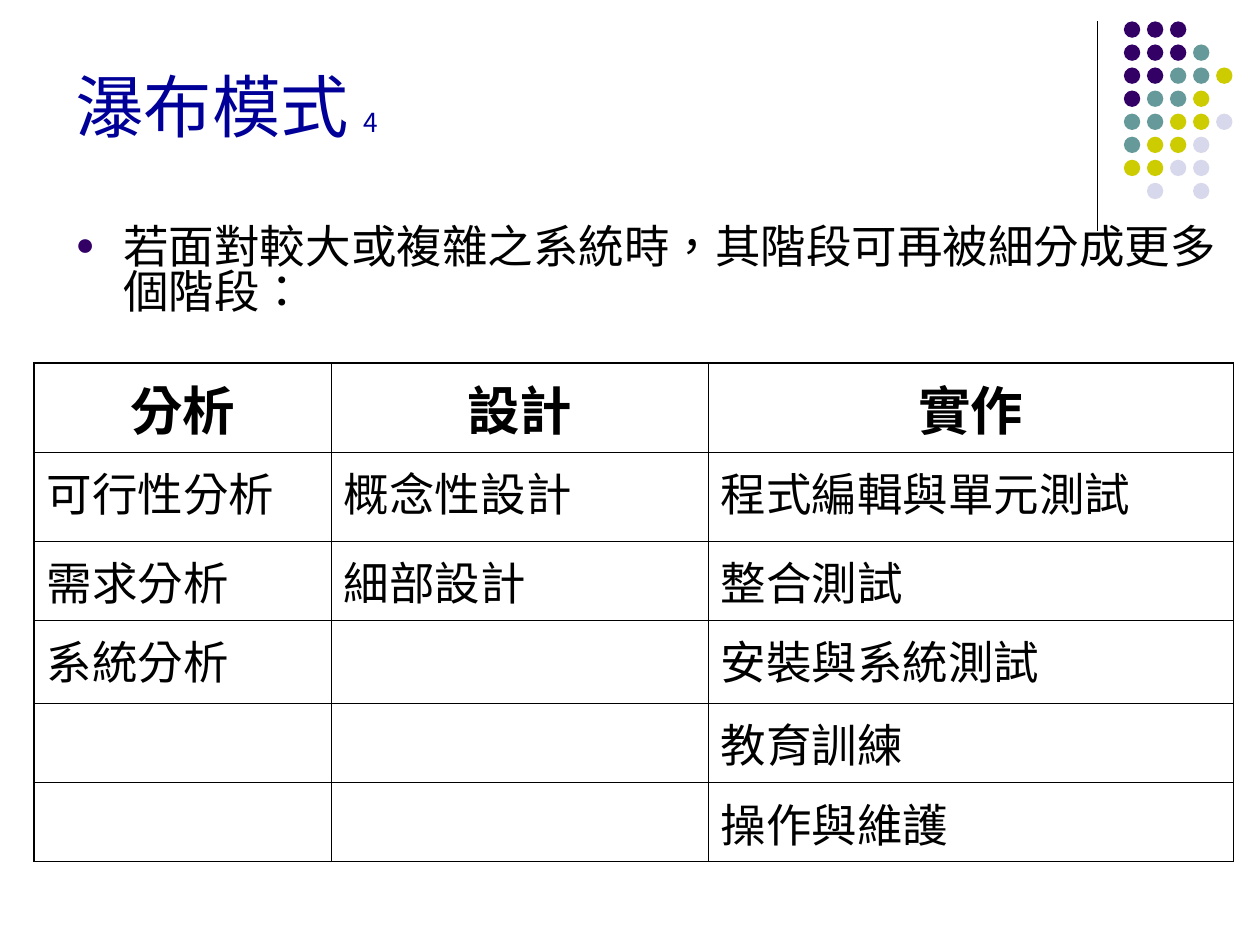
import dataclasses
import pptx
import pptx.dml.color
import pptx.enum.dml
import pptx.enum.lang
import pptx.enum.shapes
import pptx.enum.text
import pptx.oxml
import pptx.oxml.ns
import pptx.util

Inches = pptx.util.Inches
Pt = pptx.util.Pt
RGBColor = pptx.dml.color.RGBColor
Align = pptx.enum.text.PP_ALIGN
Anchor = pptx.enum.text.MSO_ANCHOR

BLACK = RGBColor(0x00, 0x00, 0x00)
NAVY = RGBColor(0x00, 0x00, 0x99)
PURPLE = RGBColor(0x33, 0x00, 0x66)
TEAL = RGBColor(0x66, 0x99, 0x99)
LIME = RGBColor(0xCC, 0xCC, 0x00)
PALE = RGBColor(0xD8, 0xD8, 0xEC)

LATIN = "Arial"
HAN = "Noto Sans CJK SC"
THIN, THICK = 0.45, 1.08

# One string per row of dots; a blank leaves a gap
DOTS = ["PPP", "PPPT", "PPTTL", "PTTL", "TTLLA", "TLLA", "LLAA", " A A"]
HUES = {"P": PURPLE, "T": TEAL, "L": LIME, "A": PALE}

COLS = [2.36, 2.99, 4.17]
ROWS = [0.71, 0.71, 0.62, 0.66, 0.63, 0.62]
CELLS = [
    ["分析", "設計", "實作"],
    ["可行性分析", "概念性設計", "程式編輯與單元測試"],
    ["需求分析", "細部設計", "整合測試"],
    ["系統分析", "", "安裝與系統測試"],
    ["", "", "教育訓練"],
    ["", "", "操作與維護"],
]


@dataclasses.dataclass
class Style:
    size: float
    color: RGBColor = BLACK
    bold: bool = False
    face: str = LATIN


HEAD = Style(30, bold=True)
TEXT = Style(26)


def make(xml: str):
    """Parse a fragment whose root is in the drawing namespace."""
    space = pptx.oxml.ns.nsdecls("a")
    return pptx.oxml.parse_xml(xml.replace(" ", f" {space} ", 1))


def paint(run, style: Style) -> None:
    font = run.font
    font.size = Pt(style.size)
    font.bold = style.bold
    font.name = style.face
    font.color.rgb = style.color
    font.language_id = pptx.enum.lang.MSO_LANGUAGE_ID.TRADITIONAL_CHINESE
    if style.face == HAN:
        run.font._element.append(make(f'<a:ea typeface="{HAN}"/>'))


def place(shape, left: float, top: float, width: float, height: float) -> None:
    shape.left, shape.top = Inches(left), Inches(top)
    shape.width, shape.height = Inches(width), Inches(height)
    shape.text_frame.word_wrap = True
    shape.text_frame.auto_size = pptx.enum.text.MSO_AUTO_SIZE.NONE


def draw_dots(slide) -> None:
    group = slide.shapes.add_group_shape()
    pitch, size = 0.183, Inches(0.13)
    for row, line in enumerate(DOTS):
        for col, key in enumerate(line):
            if key == " ":
                continue
            dot = group.shapes.add_shape(
                pptx.enum.shapes.MSO_SHAPE.OVAL,
                Inches(8.92 + col * pitch), Inches(0.17 + row * pitch), size, size)
            dot.shadow.inherit = False
            dot.fill.solid()
            dot.fill.fore_color.rgb = HUES[key]
            dot.line.fill.background()


def draw_rule(slide) -> None:
    rule = slide.shapes.add_connector(
        pptx.enum.shapes.MSO_CONNECTOR.STRAIGHT,
        Inches(8.71), Inches(0.17), Inches(8.71), Inches(1.83))
    rule.line.color.rgb = BLACK
    rule.line.width = Pt(0.75)
    rule._element.spPr.append(make("<a:effectLst />"))


def set_title(slide) -> None:
    title = slide.shapes.title
    place(title, 0.5, 0.13, 8.12, 1.41)
    title.text_frame.vertical_anchor = Anchor.MIDDLE
    para = title.text_frame.paragraphs[0]
    para.alignment = Align.LEFT
    for text, size in (("瀑布模式 ", 39), ("4", 15)):
        run = para.add_run()
        run.text = text
        paint(run, Style(size, NAVY, face=HAN))


def set_body(slide) -> None:
    body = slide.placeholders[1]
    place(body, 0.5, 1.75, 9.3, 4.95)
    para = body.text_frame.paragraphs[0]
    para.text = "若面對較大或複雜之系統時，其階段可再被細分成更多個階段："
    para.space_before = Pt(6.5)
    para.line_spacing = 0.83
    paint(para.runs[0], TEXT)
    # Bullet and hanging indent
    props = para._p.get_or_add_pPr()
    props.set("marL", str(Inches(0.38)))
    props.set("indent", str(-Inches(0.38)))
    for xml in (f'<a:buClr ><a:srgbClr val="{PURPLE}"/></a:buClr>',
                '<a:buSzPct val="70000"/>',
                f'<a:buFont typeface="{LATIN}"/>',
                '<a:buChar char="●"/>'):
        props.append(make(xml))


def set_edges(cell, row: int, col: int) -> None:
    """Thick lines round the table, thin lines inside."""
    outer = {"L": col == 0, "R": col == len(COLS) - 1,
             "T": row == 0, "B": row == len(ROWS) - 1}
    props = cell._tc.get_or_add_tcPr()
    for spot, (side, thick) in enumerate(outer.items()):
        width = Pt(THICK if thick else THIN)
        props.insert(spot, make(
            f'<a:ln{side} w="{width}"><a:solidFill><a:srgbClr val="{BLACK}"/>'
            f"</a:solidFill></a:ln{side}>"))


def draw_table(slide) -> None:
    frame = slide.shapes.add_table(
        len(ROWS), len(COLS), Inches(0.27), Inches(2.88),
        Inches(sum(COLS)), Inches(sum(ROWS)))
    table = frame.table
    table.first_row = table.horz_banding = False
    for col, width in enumerate(COLS):
        table.columns[col].width = Inches(width)
    for row, height in enumerate(ROWS):
        table.rows[row].height = Inches(height)
        style = TEXT if row else HEAD
        for col, text in enumerate(CELLS[row]):
            cell = table.cell(row, col)
            cell.fill.background()
            set_edges(cell, row, col)
            if not text:
                continue
            para = cell.text_frame.paragraphs[0]
            para.text = text
            para.alignment = Align.LEFT if row else Align.CENTER
            para.space_before = Pt(style.size / 4)
            paint(para.runs[0], style)


def main() -> None:
    deck = pptx.Presentation()
    deck.slide_width, deck.slide_height = Inches(10), Inches(7.5)
    slide = deck.slides.add_slide(deck.slide_layouts[1])
    draw_rule(slide)
    draw_dots(slide)
    set_title(slide)
    set_body(slide)
    draw_table(slide)
    deck.save("out.pptx")


if __name__ == "__main__":
    main()
